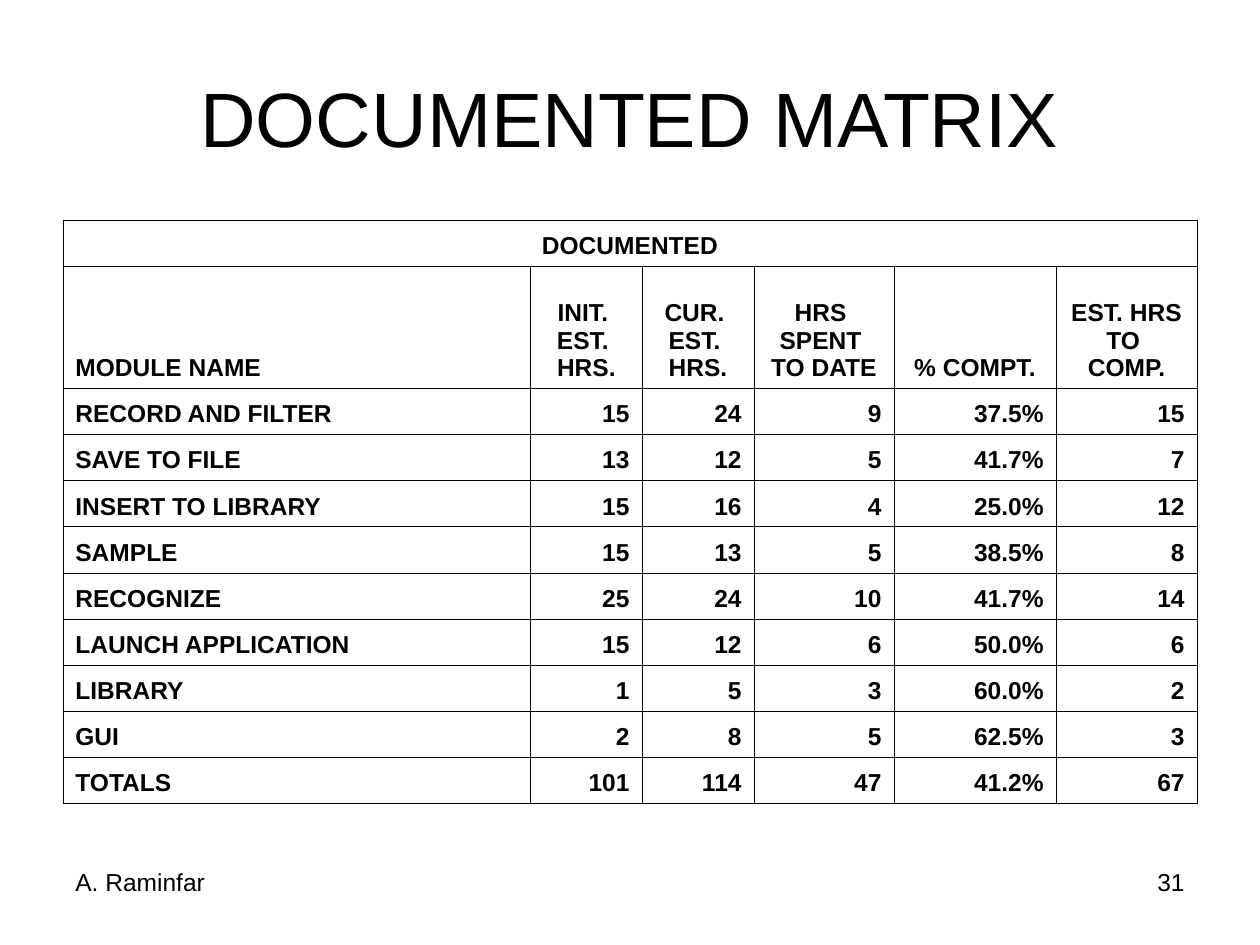
import pptx
import pptx.dml.color
import pptx.enum.text
import pptx.oxml
import pptx.oxml.ns
import pptx.util

Cm = pptx.util.Cm
ALIGN = pptx.enum.text.PP_ALIGN
ANCHOR = pptx.enum.text.MSO_ANCHOR

INK = "000000"
MARGIN = 1.27
COLUMN_WIDTHS = [9.43, 2.24, 2.26, 2.82, 3.27, 2.84]
ROW_HEIGHT = 0.93
HEADING_HEIGHT = 2.46
HANGING = 0.95
HEADINGS = [
    "MODULE NAME",
    "INIT. \nEST. \nHRS.",
    "CUR. \nEST. \nHRS.",
    "HRS \nSPENT \nTO DATE",
    "% COMPT.",
    "EST. HRS \nTO \nCOMP.",
]
MODULES = [
    ["RECORD AND FILTER", "15", "24", "9", "37.5%", "15"],
    ["SAVE TO FILE", "13", "12", "5", "41.7%", "7"],
    ["INSERT TO LIBRARY", "15", "16", "4", "25.0%", "12"],
    ["SAMPLE", "15", "13", "5", "38.5%", "8"],
    ["RECOGNIZE", "25", "24", "10", "41.7%", "14"],
    ["LAUNCH APPLICATION", "15", "12", "6", "50.0%", "6"],
    ["LIBRARY", "1", "5", "3", "60.0%", "2"],
    ["GUI", "2", "8", "5", "62.5%", "3"],
    ["TOTALS", "101", "114", "47", "41.2%", "67"],
]


def color(value):
    """Turn a hex string into an RGB colour."""
    return pptx.dml.color.RGBColor.from_string(value)


def write(frame, words, size, align, bold=False):
    """Fill a text frame and format every run in it."""
    frame.text = words
    for paragraph in frame.paragraphs:
        paragraph.alignment = align
        for run in paragraph.runs:
            run.font.name = "Arial"
            run.font.size = pptx.util.Pt(size)
            run.font.bold = bold
            run.font.color.rgb = color(INK)


def add_label(slide, box, words, size, align, anchor=ANCHOR.TOP):
    """Add a wrapping text box at left, top, width, height in centimetres."""
    frame = slide.shapes.add_textbox(*map(Cm, box)).text_frame
    frame.word_wrap = True
    frame.vertical_anchor = anchor
    write(frame, words, size, align)


def add_borders(cell):
    """Draw a thin line on all four sides of a cell."""
    properties = cell._tc.get_or_add_tcPr()
    for side in ("lnL", "lnR", "lnT", "lnB"):
        properties.append(pptx.oxml.parse_xml(
            f'<a:{side} {pptx.oxml.ns.nsdecls("a")} w="{pptx.util.Pt(0.45)}">'
            f'<a:solidFill><a:srgbClr val="{INK}"/></a:solidFill></a:{side}>'))


def fill_cell(cell, words, align):
    """Write bold text at the foot of a bordered, unfilled cell."""
    add_borders(cell)
    cell.fill.background()
    cell.vertical_anchor = ANCHOR.BOTTOM
    cell.margin_left = cell.margin_right = Cm(0.25)
    cell.margin_top = cell.margin_bottom = Cm(0.13)
    write(cell.text_frame, words, 14, align, bold=True)
    for paragraph in cell.text_frame.paragraphs:
        indents = paragraph._p.get_or_add_pPr()
        indents.set("marL", str(Cm(HANGING)))
        indents.set("indent", str(-Cm(HANGING)))


def add_matrix(slide):
    """Add the table of estimated and spent hours per module."""
    banner = ["DOCUMENTED"] + [""] * (len(HEADINGS) - 1)
    rows = [banner, HEADINGS] + MODULES
    heights = [ROW_HEIGHT, HEADING_HEIGHT] + [ROW_HEIGHT] * len(MODULES)
    matrix = slide.shapes.add_table(
        len(rows), len(HEADINGS), Cm(MARGIN), Cm(4.44),
        Cm(sum(COLUMN_WIDTHS)), Cm(sum(heights))).table
    matrix.first_row = matrix.horz_banding = False
    for column, width in zip(matrix.columns, COLUMN_WIDTHS):
        column.width = Cm(width)
    for r, (row, height) in enumerate(zip(rows, heights)):
        matrix.rows[r].height = Cm(height)
        for c, words in enumerate(row):
            if r == 0:
                align = ALIGN.CENTER
            elif c == 0:
                align = ALIGN.LEFT
            else:
                align = ALIGN.CENTER if r == 1 else ALIGN.RIGHT
            fill_cell(matrix.cell(r, c), words, align)
    matrix.cell(0, 0).merge(matrix.cell(0, len(HEADINGS) - 1))


def main():
    """Build the slide and save it."""
    deck = pptx.Presentation()
    deck.slide_width, deck.slide_height = Cm(25.4), Cm(19.05)
    slide = deck.slides.add_slide(deck.slide_layouts[6])
    add_label(slide, (MARGIN, 0.76, 22.86, 3.18), "DOCUMENTED MATRIX", 44,
              ALIGN.CENTER, ANCHOR.MIDDLE)
    add_matrix(slide)
    add_label(slide, (18.21, 17.35, 5.92, 1.32), "31", 14, ALIGN.RIGHT)
    add_label(slide, (MARGIN, 17.35, 5.92, 1.32), "A. Raminfar", 14, ALIGN.LEFT)
    deck.save("out.pptx")


if __name__ == "__main__":
    main()
